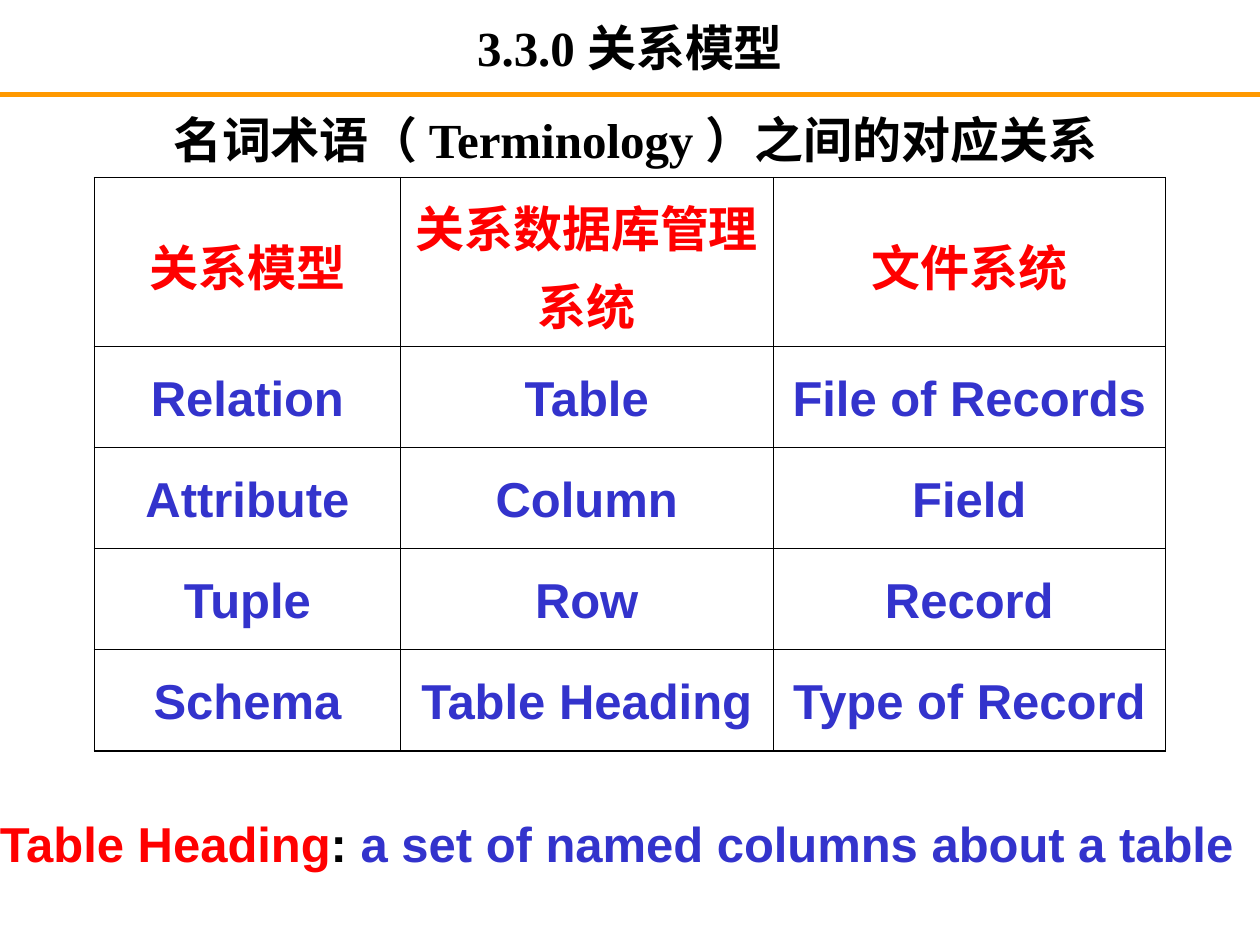
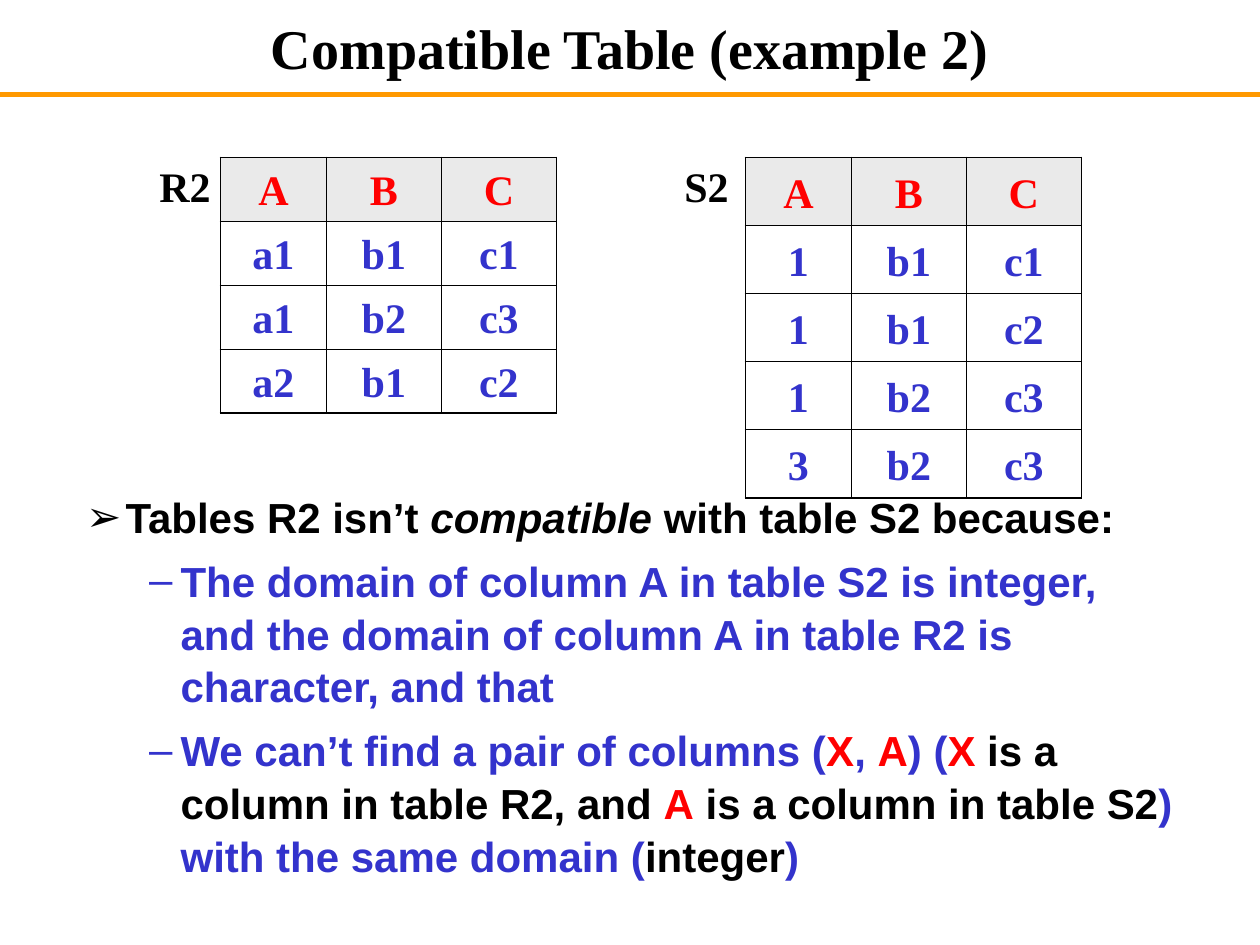
from lxml.etree import SubElement
from pptx import Presentation
from pptx.dml.color import RGBColor
from pptx.enum.shapes import MSO_CONNECTOR
from pptx.enum.text import MSO_ANCHOR, MSO_AUTO_SIZE, PP_ALIGN
from pptx.oxml.ns import qn
from pptx.util import Pt

BLACK = RGBColor(0x00, 0x00, 0x00)
WHITE = RGBColor(0xFF, 0xFF, 0xFF)
RED = RGBColor(0xFF, 0x00, 0x00)
BLUE = RGBColor(0x33, 0x33, 0xCC)
GRAY = RGBColor(0xEA, 0xEA, 0xEA)
ORANGE = RGBColor(0xFF, 0x99, 0x00)
SERIF = "Times New Roman"
SANS = "Arial"
WIDE, HIGH = 720, 540
THICK, THIN = 1.08, 0.45

TERMS = [
    ["关系模型", "关系数据库管理系统", "文件系统"],
    ["Relation", "Table", "File of Records"],
    ["Attribute", "Column", "Field"],
    ["Tuple", "Row", "Record"],
    ["Schema", "Table Heading", "Type of Record"],
]
R2 = ["A B C".split(), "a1 b1 c1".split(), "a1 b2 c3".split(), "a2 b1 c2".split()]
S2 = ["A B C".split(), "1 b1 c1".split(), "1 b1 c2".split(),
      "1 b2 c3".split(), "3 b2 c3".split()]
CLAIM = [("Tables R2 isn’t ", BLACK), ("compatible", BLACK, True),
         (" with table S2 because:", BLACK)]
DOMAIN = [("The domain of column A in table S2 is integer, and the domain of "
           "column A in table R2 is character, and that", BLUE)]
PAIR = [("We can’t find a pair of columns (", BLUE), ("X", RED), (", ", BLUE),
        ("A", RED), (") (", BLUE), ("X", RED),
        (" is a column in table R2, and ", BLACK), ("A", RED),
        (" is a column in table S2", BLACK), (") with the same domain (", BLUE),
        ("integer", BLACK), (")", BLUE)]


def style(run, size, face, color, slant=False):
    font = run.font
    font.size, font.name, font.bold, font.italic = Pt(size), face, True, slant
    font.color.rgb = color


def add_runs(para, parts, size, face):
    for text, color, *slant in parts:
        run = para.add_run()
        run.text = text
        style(run, size, face, color, bool(slant))


def place(shape, box):
    shape.left, shape.top, shape.width, shape.height = map(Pt, box)


def add_rule(prs, slide):
    line = slide.shapes.add_connector(
        MSO_CONNECTOR.STRAIGHT, Pt(0), Pt(54), Pt(WIDE), Pt(54))
    line.line.color.rgb = ORANGE
    line.line.width = Pt(3)
    SubElement(line.element.spPr, qn("a:effectLst"))
    line.element.nvCxnSpPr.cNvPr.id = 20
    prs.slide_master.shapes.element.append(line.element)


def add_title(slide, text, size):
    title = slide.shapes.title
    place(title, (54, 6, 612, 42))
    frame = title.text_frame
    frame.text = text
    frame.auto_size = MSO_AUTO_SIZE.NONE
    frame.vertical_anchor = MSO_ANCHOR.MIDDLE
    para = frame.paragraphs[0]
    para.alignment = PP_ALIGN.CENTER
    style(para.runs[0], size, SERIF, BLACK)


def add_label(slide, box, parts, size, face, pad, align=PP_ALIGN.LEFT):
    frame = slide.shapes.add_textbox(*map(Pt, box)).text_frame
    frame.word_wrap = True
    frame.margin_left = frame.margin_right = Pt(pad[0])
    frame.margin_top = frame.margin_bottom = Pt(pad[1])
    para = frame.paragraphs[0]
    para.alignment = align
    add_runs(para, parts, size, face)


def add_edges(cell, widths):
    props = cell._tc.get_or_add_tcPr()
    for side, width in zip("LRTB", widths):
        edge = SubElement(props, qn(f"a:ln{side}"), w=str(Pt(width)))
        fill = SubElement(edge, qn("a:solidFill"))
        SubElement(fill, qn("a:srgbClr"), val=str(BLACK))


def add_grid(slide, spot, data, cols, rows, size, face, shade):
    count, last = len(data), len(cols) - 1
    frame = slide.shapes.add_table(
        count, len(cols), *map(Pt, (*spot, sum(cols), sum(rows))))
    table = frame.table
    table.first_row = table.horz_banding = False
    for col, width in zip(table.columns, cols):
        col.width = Pt(width)
    for r, (row, height) in enumerate(zip(data, rows)):
        table.rows[r].height = Pt(height)
        for c, text in enumerate(row):
            cell = table.cell(r, c)
            ends = (c == 0, c == last, r == 0, r == count - 1)
            add_edges(cell, [THICK if end else THIN for end in ends])
            cell.fill.solid()
            cell.fill.fore_color.rgb = WHITE if r else shade
            cell.vertical_anchor = MSO_ANCHOR.MIDDLE
            cell.text_frame.text = text
            para = cell.text_frame.paragraphs[0]
            para.alignment = PP_ALIGN.CENTER
            para.line_spacing = 1.1
            style(para.runs[0], size, face if r else SERIF, BLUE if r else RED)


def add_bullet(para, level, left, hang, mark, color):
    para.level = level
    props = para._p.get_or_add_pPr()
    props.set("marL", str(Pt(left)))
    props.set("indent", str(Pt(-hang)))
    tint = SubElement(props, qn("a:buClr"))
    SubElement(tint, qn("a:srgbClr"), val=str(color))
    SubElement(props, qn("a:buFont"), typeface=SANS)
    SubElement(props, qn("a:buChar"), char=mark)


def add_reasons(slide, box):
    body = slide.placeholders[1]
    place(body, box)
    frame = body.text_frame
    frame.auto_size = MSO_AUTO_SIZE.NONE
    top = (1, 58.5, 22.5, "➢", BLACK)
    sub = (2, 90, 18, "–", BLUE)
    for i, (parts, mark) in enumerate([(CLAIM, top), (DOMAIN, sub), (PAIR, sub)]):
        para = frame.add_paragraph() if i else frame.paragraphs[0]
        add_bullet(para, *mark)
        para.space_before = Pt(6 if i else 0)
        para.line_spacing = 1.05
        add_runs(para, parts, 24, SANS)


def add_sample(slide, left, top, name, data, height):
    add_grid(slide, (left + 42, top), data, (60.5, 65.75, 65.75),
             [height] * len(data), 24, SERIF, GRAY)
    add_label(slide, (left, top + 1.5, 60, 29), [(name, BLACK)], 24, SERIF, (7.2, 0))


def build_terms(slide):
    add_title(slide, "3.3.0 关系模型", 28)
    add_grid(slide, (54, 101.5), TERMS, (174.75, 213, 224.25),
             [96] + [57.85] * 4, 28, SANS, WHITE)
    add_label(slide, (54, 59, 618, 41),
              [("名词术语（ Terminology ）之间的对应关系", BLACK)],
              28, SERIF, (7.2, 3.6), PP_ALIGN.CENTER)
    add_label(slide, (0, 461.5, WIDE, 41),
              [("Table Heading", RED), (": ", BLACK),
               ("a set of named columns about a table", BLUE)], 28, SANS, (0, 3.6))


def build_compare(slide):
    add_title(slide, "Compatible Table (example 2)", 32)
    add_reasons(slide, (6, 276, 672, 234))
    add_sample(slide, 84, 90, "R2", R2, 36.5)
    add_sample(slide, 384, 90, "S2", S2, 38.9)


def main():
    prs = Presentation()
    prs.slide_width, prs.slide_height = Pt(WIDE), Pt(HIGH)
    first = prs.slides.add_slide(prs.slide_layouts[5])
    add_rule(prs, first)
    build_terms(first)
    build_compare(prs.slides.add_slide(prs.slide_layouts[1]))
    prs.save("out.pptx")


if __name__ == "__main__":
    main()
